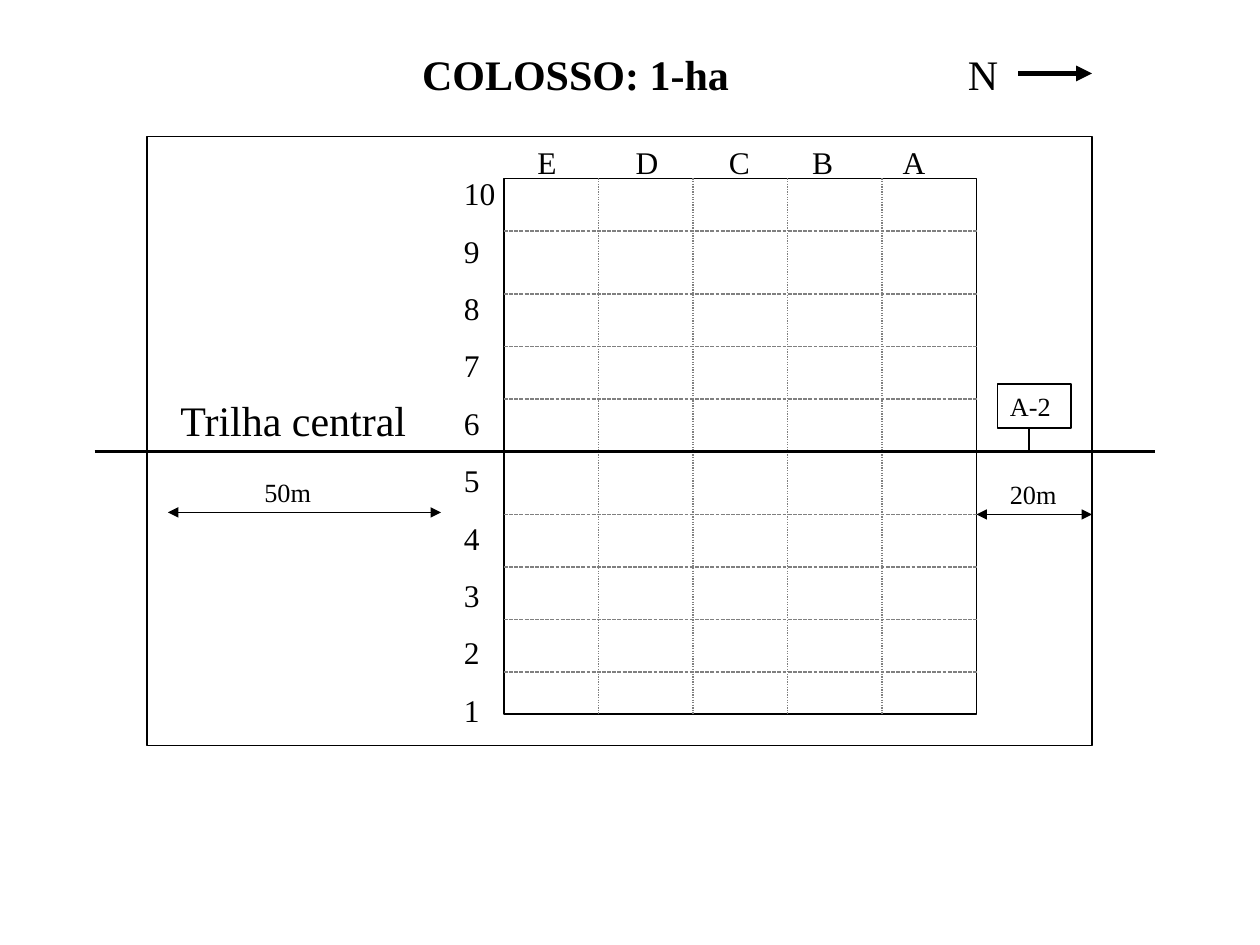
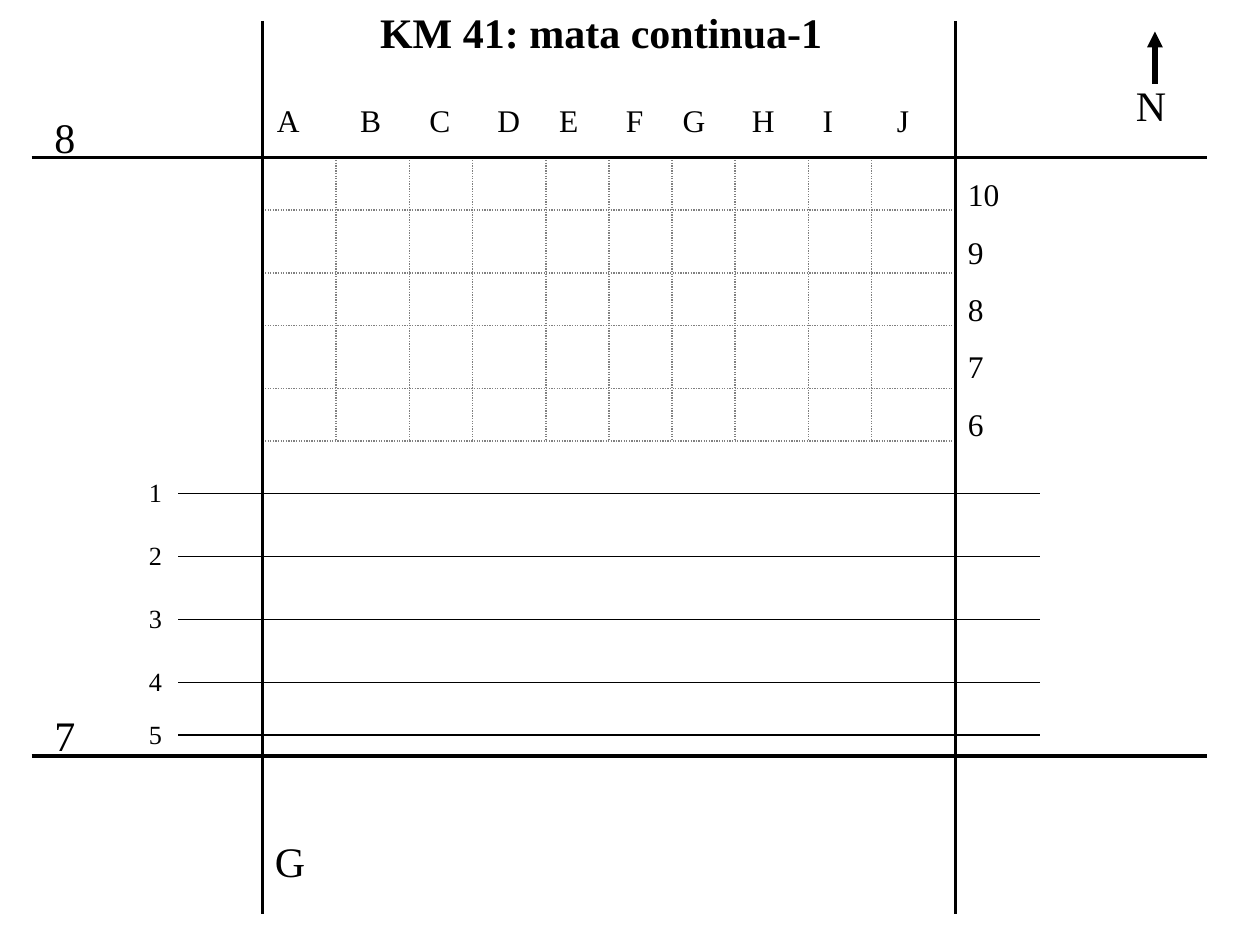
"""Build two plot maps on a grid of twelve units to the inch."""
from lxml import etree
from pptx import Presentation
from pptx import util as u
from pptx.dml.color import RGBColor
from pptx.enum import dml, shapes, text
from pptx.oxml.ns import qn

BLACK = RGBColor(0x00, 0x00, 0x00)
GREY = RGBColor(0x80, 0x80, 0x80)
WHITE = RGBColor(0xFF, 0xFF, 0xFF)
FONT = "Times New Roman"
LARGE, MEDIUM, SMALL = 24, 18, 15
THIN, TRAIL, ARROW = 0.75, 2.25, 3
DOTS, DASHES = dml.MSO_LINE.ROUND_DOT, dml.MSO_LINE.SQUARE_DOT
WIDE, HIGH = 120, 90

COLOSSO = {
    "title": ("COLOSSO: 1-ha", (39, 4, 81, 6)),
    "plot": (14, 13, 90, 58),
    "columns": [48, 57, 66, 75, 84, 93],
    "rows": [17, 22, 28, 33, 38, 43, 49, 54, 59, 64, 68],
    "trail_row": 43,
    "letters": ("EDCBA", (50, 13, 41, 4.8), [0.78, 1.52, 2.18, 2.9]),
    "numbers": (range(10, 0, -1), (43, 16, 7, 54)),
    "labels": [
        ("N", (91, 4, 7, 6), LARGE),
        ("Trilha central", (16, 37, 33, 6), LARGE),
        ("20m", (95, 45, 7, 4.2), SMALL),
        ("50m", (24, 44.8, 7, 4.2), SMALL),
    ],
    "distances": [(93, 49, 104, 49), (16, 48.8, 42, 48.8)],
    "marker": ("A-2", (95, 36.6, 7, 4.2)),
}

KM41 = {
    "title": ("KM 41: mata continua-1", (35, 0, 53, 6)),
    "columns": [25, 32, 39, 45, 52, 58, 64, 70, 77, 83, 91],
    "rows": [15, 20, 26, 31, 37, 42],
    "trail_rows": [15, 72],
    "transects": [47, 53, 59, 65, 70],
    "letters": ("ABCDEFGHIJ", (25.2, 9, 65, 4.8),
                [0.66, 1.21, 1.75, 2.24, 2.77, 3.22, 3.77, 4.33, 4.92]),
    "numbers": (range(10, 5, -1), (91, 16.1, 7, 32.2)),
    "labels": [
        ("G", (25, 79, 9, 6), LARGE),
        ("7", (4, 67, 9, 6), LARGE),
        ("8", (4, 10, 9, 6), LARGE),
        ("N", (107, 7, 7, 6), LARGE),
    ],
}


def units(*values):
    return [u.Inches(v / 12) for v in values]


def write(sp, words, size=SMALL, bold=False, tabs=(), gap=0):
    tf = sp.text_frame
    tf.word_wrap = True
    tf.auto_size = text.MSO_AUTO_SIZE.NONE
    tf.vertical_anchor = text.MSO_ANCHOR.TOP
    for i, line in enumerate(words.split("\n")):
        p = tf.add_paragraph() if i else tf.paragraphs[0]
        p.alignment = text.PP_ALIGN.LEFT
        if i:
            p.space_before = u.Pt(gap)
        if tabs:
            stops = etree.SubElement(p._p.get_or_add_pPr(), qn("a:tabLst"))
            for pos in tabs:
                etree.SubElement(stops, qn("a:tab"), pos=str(u.Inches(pos)), algn="l")
        r = p.add_run()
        r.text = line
        r.font.name, r.font.size, r.font.bold = FONT, u.Pt(size), bold
        r.font.color.rgb = BLACK


def add_label(s, words, box, size, **style):
    write(s.shapes.add_textbox(*units(*box)), words, size, **style)


def add_line(s, x1, y1, x2, y2, width=THIN, color=BLACK, dash=None, ends=()):
    sp = s.shapes.add_connector(shapes.MSO_CONNECTOR.STRAIGHT, *units(x1, y1, x2, y2))
    sp.line.width = u.Pt(width)
    sp.line.color.rgb = color
    if dash:
        sp.line.dash_style = dash
    for end in ends:
        etree.SubElement(sp.line._get_or_add_ln(), qn(f"a:{end}"), type="triangle")
    etree.SubElement(sp._element.spPr, qn("a:effectLst"))


def add_box(s, box, fill=None, width=THIN):
    sp = s.shapes.add_shape(shapes.MSO_SHAPE.RECTANGLE, *units(*box))
    sp.shadow.inherit = False
    if fill is None:
        sp.fill.background()
    else:
        sp.fill.solid()
        sp.fill.fore_color.rgb = fill
    sp.line.color.rgb = BLACK
    sp.line.width = u.Pt(width)
    return sp


def add_grid(s, columns, rows, inner_rows, row_dash):
    for x in columns[1:-1]:
        add_line(s, x, rows[0], x, rows[-1], color=GREY, dash=DOTS)
    for y in inner_rows:
        add_line(s, columns[0], y, columns[-1], y, color=GREY, dash=row_dash)


def start_slide(prs, site):
    s = prs.slides.add_slide(prs.slide_layouts[5])
    s.background.fill.solid()
    s.background.fill.fore_color.rgb = WHITE
    words, box = site["title"]
    title = s.shapes.title
    title.left, title.top, title.width, title.height = units(*box)
    write(title, words, LARGE, bold=True)
    letters, box, tabs = site["letters"]
    add_label(s, "\t".join(letters), box, MEDIUM, tabs=tabs)
    numbers, box = site["numbers"]
    add_label(s, "\n".join(map(str, numbers)), box, MEDIUM, gap=11.2)
    for label in site["labels"]:
        add_label(s, *label)
    return s


def build_colosso(prs):
    site = COLOSSO
    s = start_slide(prs, site)
    columns, rows, trail = site["columns"], site["rows"], site["trail_row"]
    add_box(s, site["plot"])
    add_box(s, (columns[0], rows[0], columns[-1] - columns[0], rows[-1] - rows[0]))
    add_grid(s, columns, rows, [y for y in rows[1:-1] if y != trail], DASHES)
    add_line(s, 9, trail, 110, trail, TRAIL)
    add_line(s, 97, 7, 104, 7, ARROW, ends=["tailEnd"])
    for distance in site["distances"]:
        add_line(s, *distance, ends=["headEnd", "tailEnd"])
    add_line(s, 98, 40, 98, trail)
    words, box = site["marker"]
    write(add_box(s, box, WHITE, 1), words)


def build_km41(prs):
    site = KM41
    s = start_slide(prs, site)
    columns, rows = site["columns"], site["rows"]
    add_grid(s, columns, rows, rows[1:], DOTS)
    for y in site["trail_rows"]:
        add_line(s, 3, y, 115, y, TRAIL)
    for x in (columns[0], columns[-1]):
        add_line(s, x, 2, x, 87, TRAIL)
    for number, y in enumerate(site["transects"], 1):
        add_line(s, 17, y, 99, y)
        add_label(s, str(number), (13, y - 2.2, 9, 4.2), SMALL)
    add_line(s, 110, 8, 110, 3, ARROW, ends=["tailEnd"])


def main():
    prs = Presentation()
    prs.slide_width, prs.slide_height = units(WIDE, HIGH)
    build_colosso(prs)
    build_km41(prs)
    prs.save("out.pptx")


if __name__ == "__main__":
    main()
